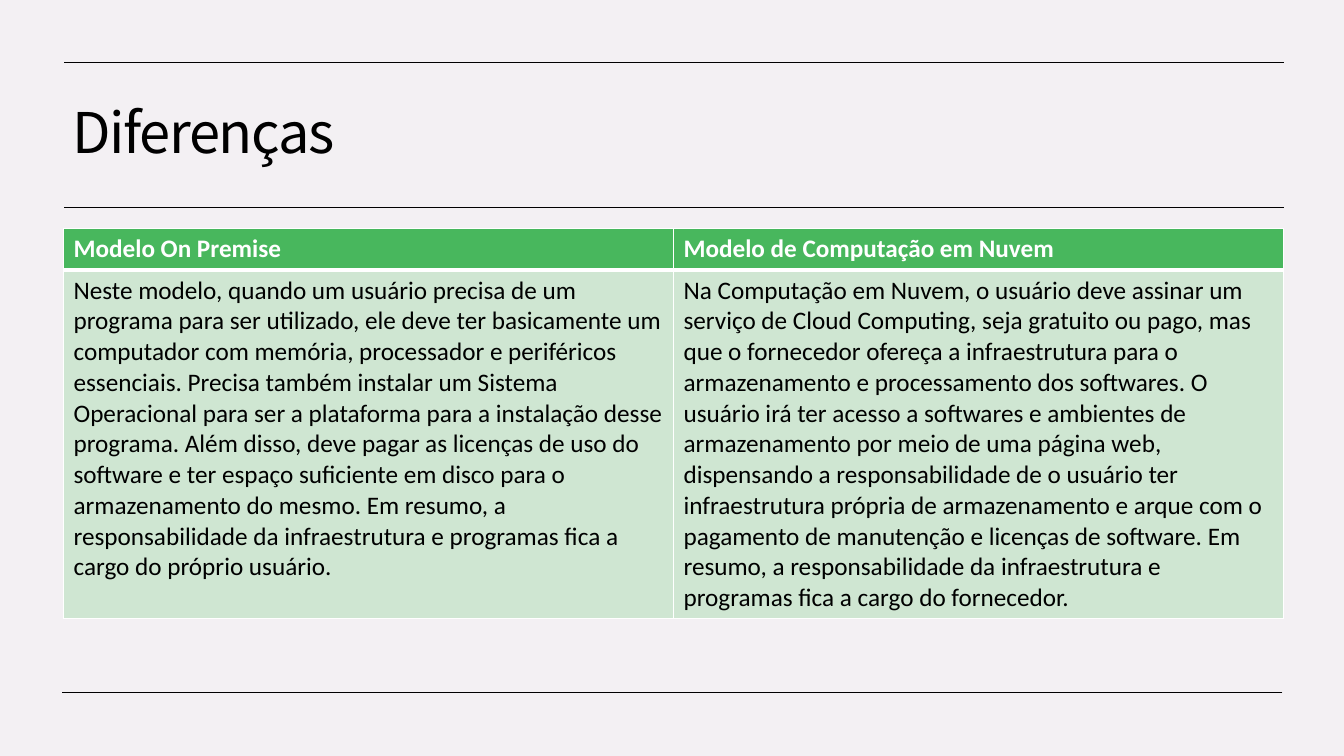
from dataclasses import dataclass

from lxml import etree
from pptx import Presentation
from pptx import util as u
from pptx.dml.color import RGBColor
from pptx.enum import shapes, text
from pptx.oxml.ns import qn

WIDTH, HEIGHT = 13.33, 7.5
LEFT, RIGHT = 0.63, 12.73
COLORS = {
    "background": "F3F0F3",
    "ink": "000000",
    "white": "FFFFFF",
    "header": "48B75D",
    "body": "CFE6D2",
}
RULE_OFFSETS = {0.62: 0.0, 2.06: 0.0, 6.87: -0.01}  # height: sideways shift
ROW_HEIGHTS = (0.41, 3.45)


@dataclass
class RowStyle:
    fill: str
    ink: str
    bold: bool
    borders: dict[str, float]


@dataclass
class Model:
    name: str
    description: str


ROW_STYLES = (
    RowStyle("header", "white", True, {"L": 1, "R": 1, "T": 1, "B": 3}),
    RowStyle("body", "ink", False, {"L": 1, "R": 1, "T": 3, "B": 1}),
)
MODELS = (
    Model(
        "Modelo On Premise",
        "Neste modelo, quando um usuário precisa de um programa para ser utilizado, "
        "ele deve ter basicamente um computador com memória, processador e periféricos "
        "essenciais. Precisa também instalar um Sistema Operacional para ser a plataforma "
        "para a instalação desse programa. Além disso, deve pagar as licenças de uso do "
        "software e ter espaço suficiente em disco para o armazenamento do mesmo. "
        "Em resumo, a responsabilidade da infraestrutura e programas fica a cargo do "
        "próprio usuário.",
    ),
    Model(
        "Modelo de Computação em Nuvem",
        "Na Computação em Nuvem, o usuário deve assinar um serviço de Cloud Computing, "
        "seja gratuito ou pago, mas que o fornecedor ofereça a infraestrutura para o "
        "armazenamento e processamento dos softwares. O usuário irá ter acesso a softwares "
        "e ambientes de armazenamento por meio de uma página web, dispensando a "
        "responsabilidade de o usuário ter infraestrutura própria de armazenamento e arque "
        "com o pagamento de manutenção e licenças de software. Em resumo, a "
        "responsabilidade da infraestrutura e programas fica a cargo do fornecedor.",
    ),
)


def color(name: str) -> RGBColor:
    return RGBColor.from_string(COLORS[name])


def format_text(paragraph, font_name: str, size: float, ink: str, bold: bool) -> None:
    for run in paragraph.runs:
        run.font.name = font_name
        run.font.size = u.Pt(size)
        run.font.bold = bold
        run.font.color.rgb = color(ink)


def add_rule(slide, top: float, shift: float) -> None:
    rule = slide.shapes.add_connector(
        shapes.MSO_CONNECTOR.STRAIGHT,
        u.Inches(RIGHT + shift), u.Inches(top), u.Inches(LEFT + shift), u.Inches(top),
    )
    rule.line.color.rgb = color("ink")
    rule.line.width = u.Pt(0.5)
    etree.SubElement(rule._element.spPr, qn("a:effectLst"))


def add_title(slide) -> None:
    title = slide.shapes.title
    title.left, title.top = u.Inches(0.62), u.Inches(0.75)
    title.width, title.height = u.Inches(12.08), u.Inches(1.19)
    frame = title.text_frame
    frame.text = "Diferenças"
    frame.word_wrap = True
    frame.vertical_anchor = text.MSO_ANCHOR.MIDDLE
    paragraph = frame.paragraphs[0]
    paragraph.alignment = text.PP_ALIGN.LEFT
    paragraph.line_spacing = 0.9
    format_text(paragraph, "Noto Sans CJK KR", 40, "ink", False)
    properties = paragraph.runs[0].font._element
    properties.set("spc", "-100")
    east_asian = etree.Element(qn("a:ea"), typeface="Noto Sans CJK KR")
    properties.find(qn("a:latin")).addnext(east_asian)


def set_borders(cell, borders: dict[str, float]) -> None:
    properties = cell._tc.get_or_add_tcPr()
    for position, (side, width) in enumerate(borders.items()):
        line = etree.Element(qn(f"a:ln{side}"), w=str(u.Pt(width)))
        fill = etree.SubElement(line, qn("a:solidFill"))
        etree.SubElement(fill, qn("a:srgbClr"), val=COLORS["white"])
        properties.insert(position, line)


def fill_cell(cell, content: str, style: RowStyle) -> None:
    cell.text_frame.text = content
    format_text(cell.text_frame.paragraphs[0], "Calibri", 18, style.ink, style.bold)
    cell.fill.solid()
    cell.fill.fore_color.rgb = color(style.fill)
    set_borders(cell, style.borders)


def add_comparison(slide) -> None:
    table = slide.shapes.add_table(
        len(ROW_STYLES), len(MODELS), u.Inches(LEFT), u.Inches(2.27),
        u.Inches(RIGHT - LEFT), u.Inches(sum(ROW_HEIGHTS)),
    ).table
    table.horz_banding = False
    for row, height in zip(table.rows, ROW_HEIGHTS):
        row.height = u.Inches(height)
    for column, model in enumerate(MODELS):
        for row, content in enumerate((model.name, model.description)):
            fill_cell(table.cell(row, column), content, ROW_STYLES[row])


def main() -> None:
    presentation = Presentation()
    presentation.slide_width = u.Inches(WIDTH)
    presentation.slide_height = u.Inches(HEIGHT)
    slide = presentation.slides.add_slide(presentation.slide_layouts.get_by_name("Title Only"))
    slide.background.fill.solid()
    slide.background.fill.fore_color.rgb = color("background")
    for top, shift in RULE_OFFSETS.items():
        add_rule(slide, top, shift)
    add_title(slide)
    add_comparison(slide)
    presentation.save("out.pptx")


if __name__ == "__main__":
    main()
